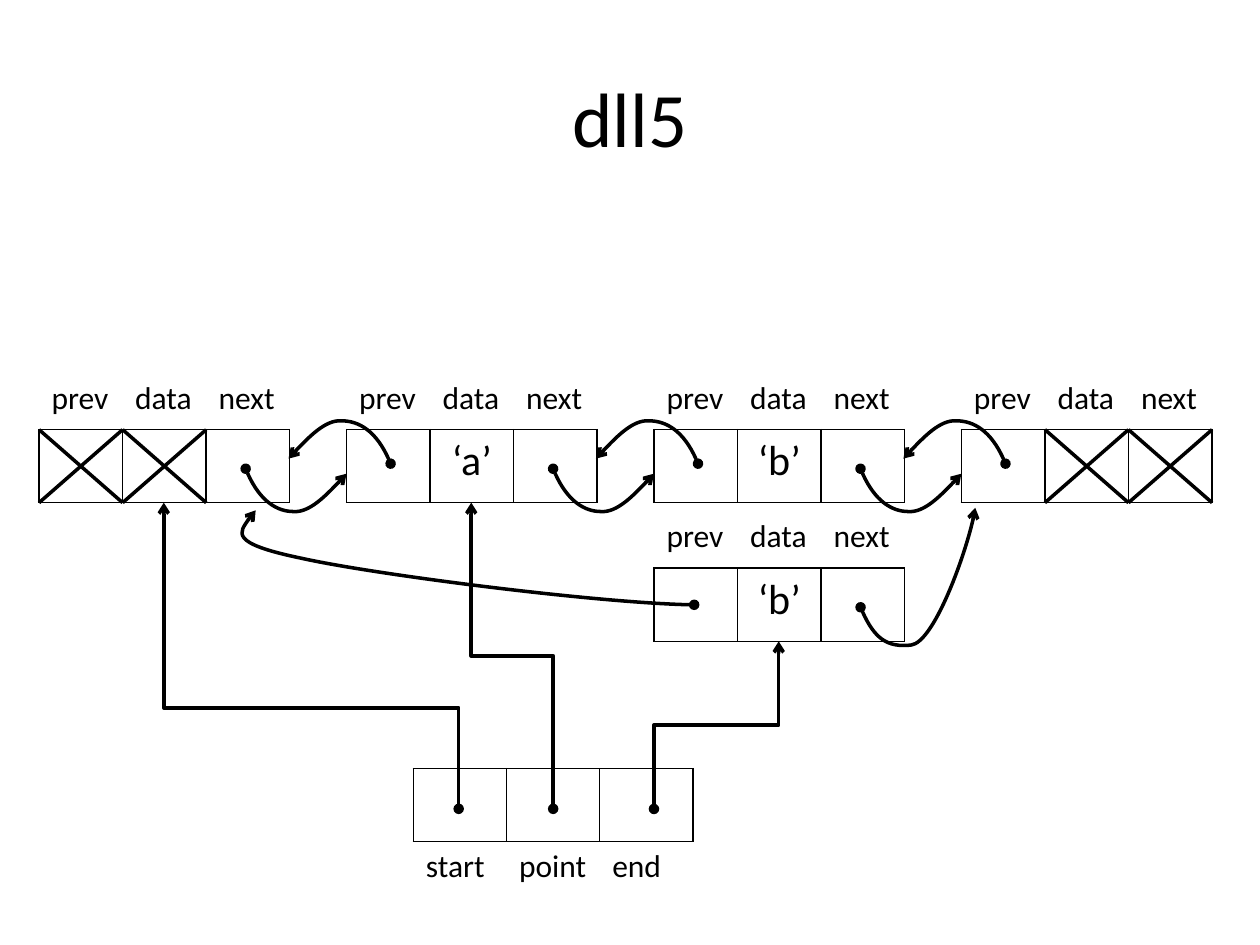
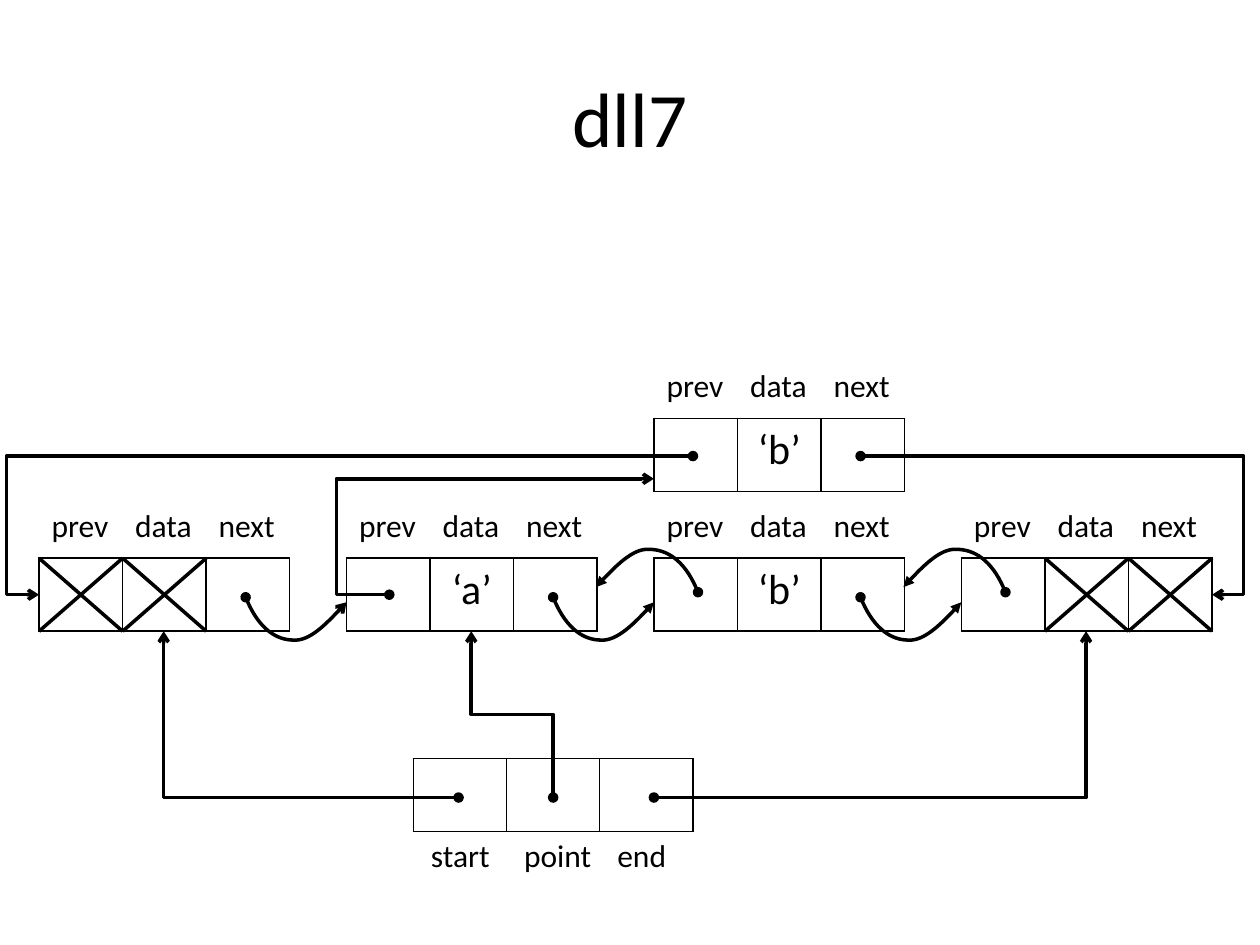
from dataclasses import dataclass

from lxml.etree import SubElement
from pptx import Presentation
from pptx.dml.color import RGBColor
from pptx.enum.shapes import MSO_CONNECTOR as Connector
from pptx.enum.text import MSO_ANCHOR as Anchor, PP_ALIGN as Align
from pptx.oxml.ns import qn
from pptx.util import Inches, Pt


@dataclass(frozen=True)
class Theme:
    """Colours, font and sizes shared by the slides."""

    ink: RGBColor = RGBColor(0, 0, 0)
    paper: RGBColor = RGBColor(255, 255, 255)
    font: str = "Calibri"
    title_size: int = 44
    value_size: int = 24
    label_size: int = 18
    border_width: int = 1
    link_width: int = 2


THEME = Theme()
NO_GRID_STYLE = "{2D5ABB26-0587-4C30-8999-92F81FD0307C}"
TITLE_ONLY = 5
FIELDS = ("prev", "data", "next")
POINTERS = ("start", "point", "end")
NODE_WIDTH, CELL_HEIGHT, LABEL_HEIGHT, LABEL_RISE = 1.99, 0.58, 0.4, 0.45
POINTER_LEFT, POINTER_WIDTH = 3.28, 2.22
POINTER_DOTS = (3.64, 4.39, 5.19)
NODE_LEFTS = [0.31 + 2.44 * index for index in range(4)]
NODE_VALUES = ("", "‘a’", "‘b’", "")
CROSSED_FIELDS = ((0, 1), (), (), (1, 2))
PREV_ARC = ((0.35, 0.27), (0.25, 0.02), (0.1, -0.07), (-0.04, -0.07),
            (-0.17, -0.08), (-0.39, 0.15), (-0.46, 0.23))
NEXT_ARC = ((1.64, 0.31), (1.74, 0.56), (1.89, 0.65), (2.02, 0.65),
            (2.15, 0.66), (2.37, 0.43), (2.44, 0.35))


def add_run(paragraph, text, size):
    """Add one run in the theme font and ink."""
    run = paragraph.add_run()
    run.text = text
    run.font.name = THEME.font
    run.font.size = Pt(size)
    run.font.color.rgb = THEME.ink


def add_titled_slide(presentation, title):
    """Add a slide with its centred title."""
    slide = presentation.slides.add_slide(presentation.slide_layouts[TITLE_ONLY])
    shape = slide.shapes.title
    shape.left, shape.top = Inches(0.5), Inches(0.3)
    shape.width, shape.height = Inches(9), Inches(1.25)
    shape.text_frame.vertical_anchor = Anchor.MIDDLE
    paragraph = shape.text_frame.paragraphs[0]
    paragraph.alignment = Align.CENTER
    add_run(paragraph, title, THEME.title_size)
    return slide


def outline_cell(cell):
    """Draw a thin border on all four sides of a cell."""
    properties = cell._tc.get_or_add_tcPr()
    for side in ("a:lnL", "a:lnR", "a:lnT", "a:lnB"):
        line = SubElement(properties, qn(side), w=str(Pt(THEME.border_width)))
        fill = SubElement(line, qn("a:solidFill"))
        SubElement(fill, qn("a:srgbClr"), val=str(THEME.ink))


def add_row(slide, left, top, width, height, texts):
    """Add a plain one-row table with equal columns and return its cells."""
    frame = slide.shapes.add_table(1, len(texts), Inches(left), Inches(top),
                                   Inches(width), Inches(height))
    table = frame.table
    table.first_row = table.horz_banding = False
    table._tbl.tblPr.find(qn("a:tableStyleId")).text = NO_GRID_STYLE
    for column in table.columns:
        column.width = Inches(width / len(texts))
    return [table.cell(0, index) for index in range(len(texts))]


def add_labels(slide, left, top, width, texts):
    """Add a row of borderless labels."""
    for cell, text in zip(add_row(slide, left, top, width, LABEL_HEIGHT, texts), texts):
        cell.fill.background()
        add_run(cell.text_frame.paragraphs[0], text, THEME.label_size)


def add_boxes(slide, left, top, width, texts):
    """Add a row of bordered boxes with centred values."""
    for cell, text in zip(add_row(slide, left, top, width, CELL_HEIGHT, texts), texts):
        outline_cell(cell)
        cell.fill.solid()
        cell.fill.fore_color.rgb = THEME.paper
        if text:
            paragraph = cell.text_frame.paragraphs[0]
            paragraph.alignment = Align.CENTER
            add_run(paragraph, text, THEME.value_size)


def style_line(shape, tip=None):
    """Set the link line, with a dot at the start when it has a tip."""
    shape.line.color.rgb = THEME.ink
    shape.line.width = Pt(THEME.link_width)
    if tip:
        line = shape.line._get_or_add_ln()
        SubElement(line, qn("a:headEnd"), type="oval")
        SubElement(line, qn("a:tailEnd"), type=tip)


def add_line(slide, kind, begin, end, tip=None):
    """Add a connector without shadow."""
    connector = slide.shapes.add_connector(kind, *map(Inches, (*begin, *end)))
    style_line(connector, tip)
    SubElement(connector._element.spPr, qn("a:effectLst"))
    return connector


def add_elbow(slide, begin, end, bend=0.5):
    """Add an elbow arrow that leaves sideways; without a bend it turns once."""
    connector = add_line(slide, Connector.ELBOW, begin, end, "arrow")
    geometry = connector._element.spPr.find(qn("a:prstGeom"))
    if bend is None:
        geometry.set("prst", "bentConnector2")
    else:
        SubElement(geometry.find(qn("a:avLst")), qn("a:gd"), name="adj1",
                   fmla=f"val {round(bend * 100000)}")
    return connector


def add_rising_elbow(slide, begin, end, bend=0.5):
    """Add an elbow arrow that leaves upwards, as a turned sideways one."""
    middle_x, middle_y = (begin[0] + end[0]) / 2, (begin[1] + end[1]) / 2
    half_x, half_y = (end[0] - begin[0]) / 2, (end[1] - begin[1]) / 2
    connector = add_elbow(slide, (middle_x + half_y, middle_y - half_x),
                          (middle_x - half_y, middle_y + half_x), bend)
    connector.rotation = 270


def add_curve(slide, points, tip="arrow"):
    """Add a cubic curve through a start point and triples of control points."""
    start, *controls = [(Inches(x), Inches(y)) for x, y in points]
    builder = slide.shapes.build_freeform(*start)
    builder.add_line_segments(controls, close=False)
    shape = builder.convert_to_shape()
    shape.shadow.inherit = False
    shape.fill.background()
    style_line(shape, tip)
    outline = next(shape._element.iter(qn("a:path")))
    segments = outline.findall(qn("a:lnTo"))
    for index in range(0, len(segments), 3):
        curve = SubElement(outline, qn("a:cubicBezTo"))
        for segment in segments[index:index + 3]:
            curve.append(segment[0])
            outline.remove(segment)


def add_arc(slide, node, top, arc, tip="arrow"):
    """Add a prev or next arc placed relative to a node."""
    left = NODE_LEFTS[node]
    add_curve(slide, [(left + x, top + y) for x, y in arc], tip)


def add_node(slide, left, top, value, crossed=()):
    """Add a list node with field labels and crosses over unused fields."""
    add_boxes(slide, left, top, NODE_WIDTH, ("", value, ""))
    add_labels(slide, left, top - LABEL_RISE, NODE_WIDTH, FIELDS)
    cell_width = NODE_WIDTH / len(FIELDS)
    bottom = top + CELL_HEIGHT
    for field in crossed:
        near = left + field * cell_width
        far = near + cell_width
        add_line(slide, Connector.STRAIGHT, (near, top), (far, bottom))
        add_line(slide, Connector.STRAIGHT, (near, bottom), (far, top))


def add_list(slide, top):
    """Add the row of four nodes."""
    for left, value, crossed in zip(NODE_LEFTS, NODE_VALUES, CROSSED_FIELDS):
        add_node(slide, left, top, value, crossed)


def add_pointers(slide, top, label_left):
    """Add the start, point and end boxes with labels below."""
    add_labels(slide, label_left, top + CELL_HEIGHT, POINTER_WIDTH, POINTERS)
    add_boxes(slide, POINTER_LEFT, top, POINTER_WIDTH, ("",) * len(POINTERS))


def build_dll5(presentation):
    """Build the slide with the new node below the list."""
    slide = add_titled_slide(presentation, "dll5")
    top, new_top, dot_y = 3.41, 4.51, 6.42
    bottom = top + CELL_HEIGHT
    add_list(slide, top)
    add_node(slide, NODE_LEFTS[2], new_top, "‘b’")
    add_pointers(slide, 6.1, POINTER_LEFT)
    for node in range(3):
        add_arc(slide, node + 1, top, PREV_ARC)
        add_arc(slide, node, top, NEXT_ARC)
    targets = ((1.3, bottom), (3.74, bottom), (6.18, new_top + CELL_HEIGHT))
    for dot_x, target, bend in zip(POINTER_DOTS, targets, (0.33, 0.5, 0.5)):
        add_rising_elbow(slide, (dot_x, dot_y), target, bend)
    add_curve(slide, ((6.83, 4.82), (6.93, 5.06), (7.04, 5.14), (7.23, 5.12),
                      (7.41, 5.1), (7.71, 4.28), (7.74, 4.03)))
    add_curve(slide, ((5.51, 4.8), (4.77, 4.79), (2.97, 4.56), (2.39, 4.43),
                      (1.81, 4.31), (1.92, 4.18), (2.03, 4.05)))


def build_dll7(presentation):
    """Build the slide with the new node above the list."""
    slide = add_titled_slide(presentation, "dll7")
    top, new_top, dot_y = 4.43, 3.32, 6.33
    bottom, middle = top + CELL_HEIGHT, top + CELL_HEIGHT / 2
    add_list(slide, top)
    add_node(slide, NODE_LEFTS[2], new_top, "‘b’")
    add_pointers(slide, 6.02, 3.32)
    add_arc(slide, 0, top, NEXT_ARC)
    for node in (1, 2):
        add_arc(slide, node + 1, top, PREV_ARC, "triangle")
        add_arc(slide, node, top, NEXT_ARC, "triangle")
    start_x, point_x, end_x = POINTER_DOTS
    add_elbow(slide, (start_x, dot_y), (1.3, bottom), None)
    add_rising_elbow(slide, (point_x, dot_y), (3.74, bottom))
    add_elbow(slide, (end_x, dot_y), (8.62, bottom), None)
    add_elbow(slide, (6.83, 3.62), (9.62, middle), 1.09)
    add_elbow(slide, (5.5, 3.62), (0.31, middle), 1.05)
    add_elbow(slide, (3.09, middle), (5.19, 3.8), -0.2)


def main():
    """Build and save the presentation."""
    presentation = Presentation()
    presentation.slide_width, presentation.slide_height = Inches(10), Inches(7.5)
    build_dll5(presentation)
    build_dll7(presentation)
    presentation.save("out.pptx")


if __name__ == "__main__":
    main()
